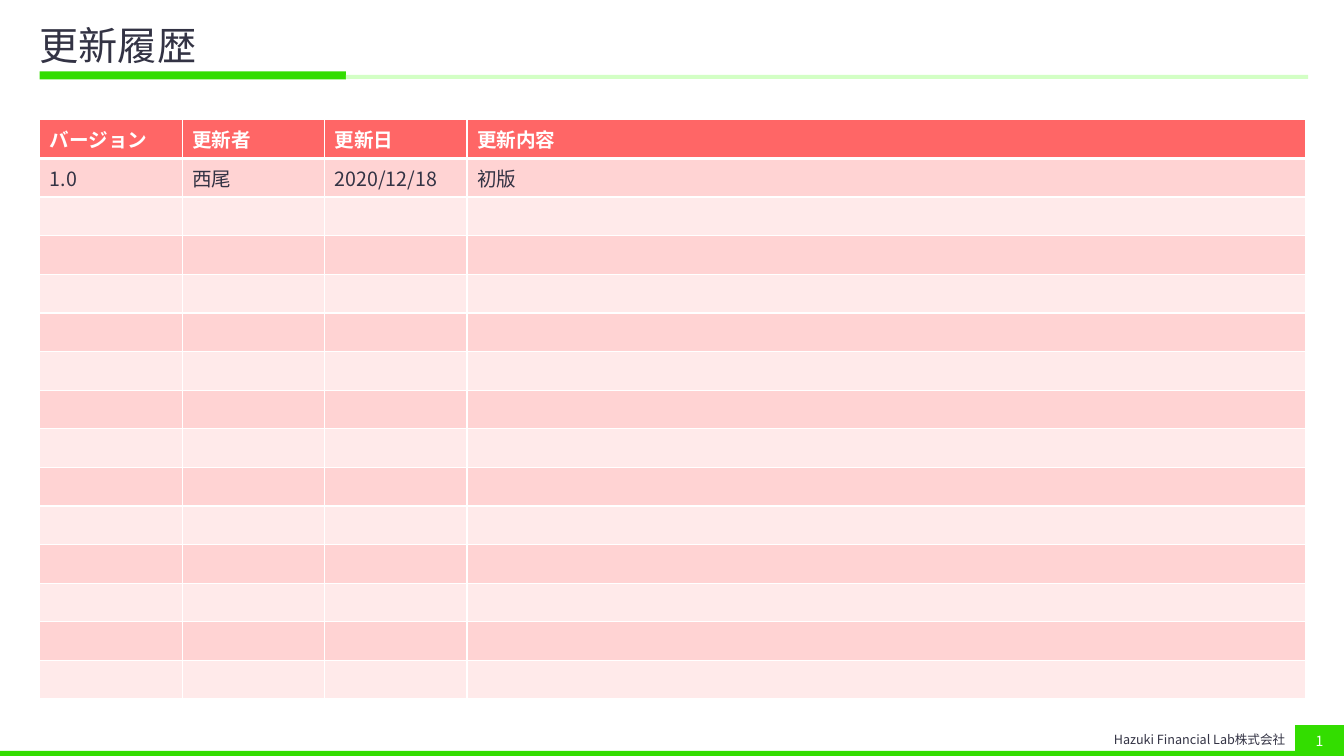
from lxml import etree
from pptx import Presentation
from pptx import util as u
from pptx.dml.color import RGBColor
from pptx.enum import shapes, text
from pptx.oxml import ns

Cm = u.Cm
FONT = "Noto Sans CJK JP"
COLORS = {
    "green": "33DD00",
    "pale green": "D3FFC5",
    "ink": "333344",
    "white": "FFFFFF",
    "header": "FF6666",
    "odd row": "FFD3D3",
    "even row": "FFEAEA",
}


def write(frame, words, size, color, align=text.PP_ALIGN.LEFT, bold=False):
    frame.word_wrap = True
    frame.vertical_anchor = text.MSO_ANCHOR.MIDDLE
    para = frame.paragraphs[0]
    para.text = words
    para.alignment = align
    font = para.font
    font.size = u.Pt(size)
    font.bold = bold
    font.color.rgb = RGBColor.from_string(COLORS[color])
    font.name = FONT
    etree.SubElement(font._rPr, ns.qn("a:ea"), typeface=FONT)
    return para


def add_bar(left, top, width, height, color):
    bar = page.shapes.add_shape(shapes.MSO_SHAPE.RECTANGLE,
                                Cm(left), Cm(top), Cm(width), Cm(height))
    bar.shadow.inherit = False
    bar.fill.solid()
    bar.fill.fore_color.rgb = RGBColor.from_string(COLORS[color])
    bar.line.fill.background()
    return bar


deck = Presentation()
deck.slide_width, deck.slide_height = Cm(33.87), Cm(19.05)
page = deck.slides.add_slide(deck.slide_layouts[6])

# Title with its two-part underline
add_bar(1, 1.8, 7.72, 0.2, "green")
add_bar(8.72, 1.89, 24.25, 0.1, "pale green")
title = page.shapes.add_textbox(Cm(1), Cm(0.5), Cm(31.97), Cm(1.42))
title.text_frame.margin_left = 0
write(title.text_frame, "更新履歴", 28, "ink").line_spacing = 0.9

# Footer: strip, company and page number
add_bar(0, 18.92, 33.87, 0.13, "green")
company = page.shapes.add_textbox(Cm(27.58), Cm(18.28), Cm(5.06), Cm(0.69))
write(company.text_frame, "Hazuki Financial Lab株式会社", 9, "ink", text.PP_ALIGN.RIGHT)
number = add_bar(32.64, 18.27, 1.23, 0.78, "green")
write(number.text_frame, "1", 10, "white", text.PP_ALIGN.CENTER)

# Revision table
ROWS = 15
COLUMN_WIDTHS = [3.59, 3.59, 3.59, 21.14]
ENTRIES = [
    ["バージョン", "更新者", "更新日", "更新内容"],
    ["1.0", "西尾", "2020/12/18", "初版"],
]
table = page.shapes.add_table(ROWS, len(COLUMN_WIDTHS), Cm(1), Cm(3.02),
                              Cm(sum(COLUMN_WIDTHS)), Cm(14.6)).table
for column, width in zip(table.columns, COLUMN_WIDTHS):
    column.width = Cm(width)

for r, row in enumerate(table.rows):
    is_header = r == 0
    fill = "header" if is_header else "odd row" if r % 2 else "even row"
    for c, cell in enumerate(row.cells):
        cell.margin_top = cell.margin_bottom = 0
        cell.vertical_anchor = text.MSO_ANCHOR.MIDDLE
        if r < len(ENTRIES):
            write(cell.text_frame, ENTRIES[r][c], 14,
                  "white" if is_header else "ink", bold=is_header)

        # White borders, heavier between header and body; they precede the fill
        borders = {"lnL": 1, "lnR": 1, "lnT": 3 if r == 1 else 1,
                   "lnB": 3 if is_header else 1}
        for side, points in borders.items():
            line = etree.SubElement(cell._tc.get_or_add_tcPr(), ns.qn(f"a:{side}"),
                                    w=str(u.Pt(points)))
            paint = etree.SubElement(line, ns.qn("a:solidFill"))
            etree.SubElement(paint, ns.qn("a:srgbClr"), val=COLORS["white"])
        cell.fill.solid()
        cell.fill.fore_color.rgb = RGBColor.from_string(COLORS[fill])

deck.save("out.pptx")
